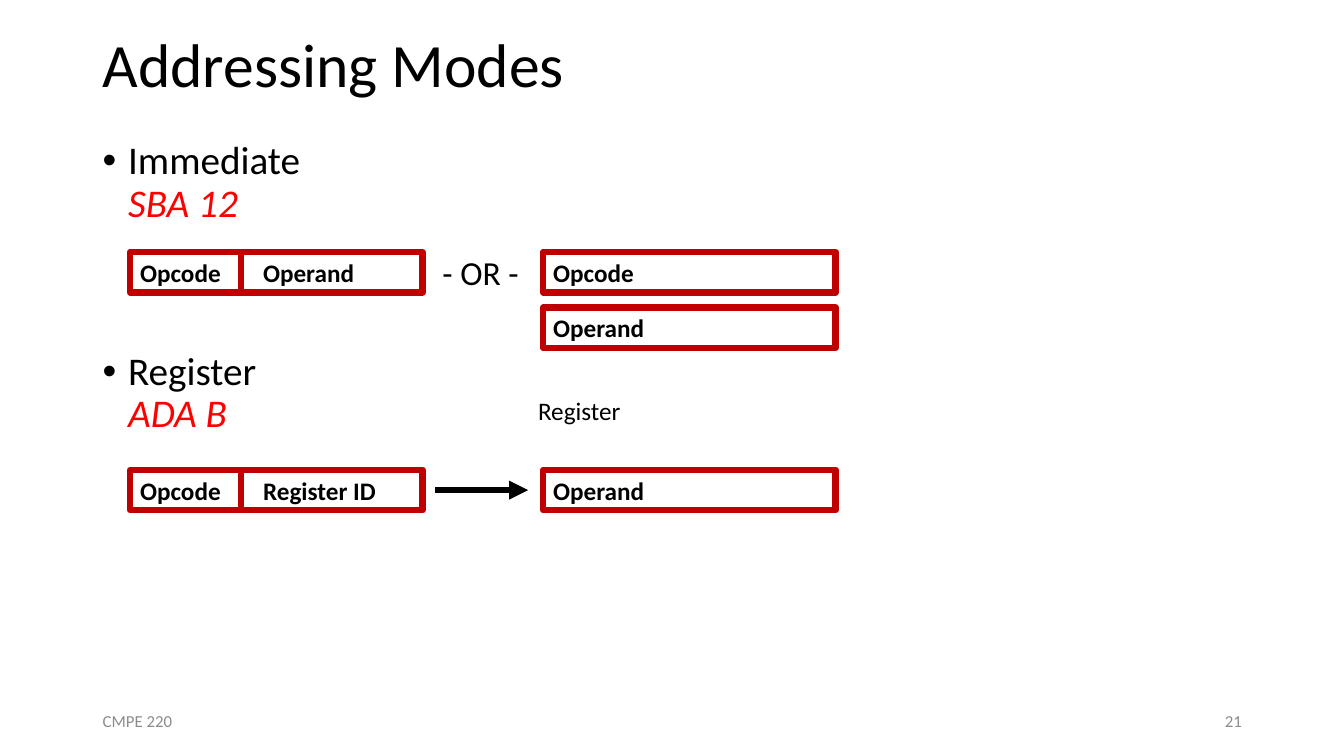
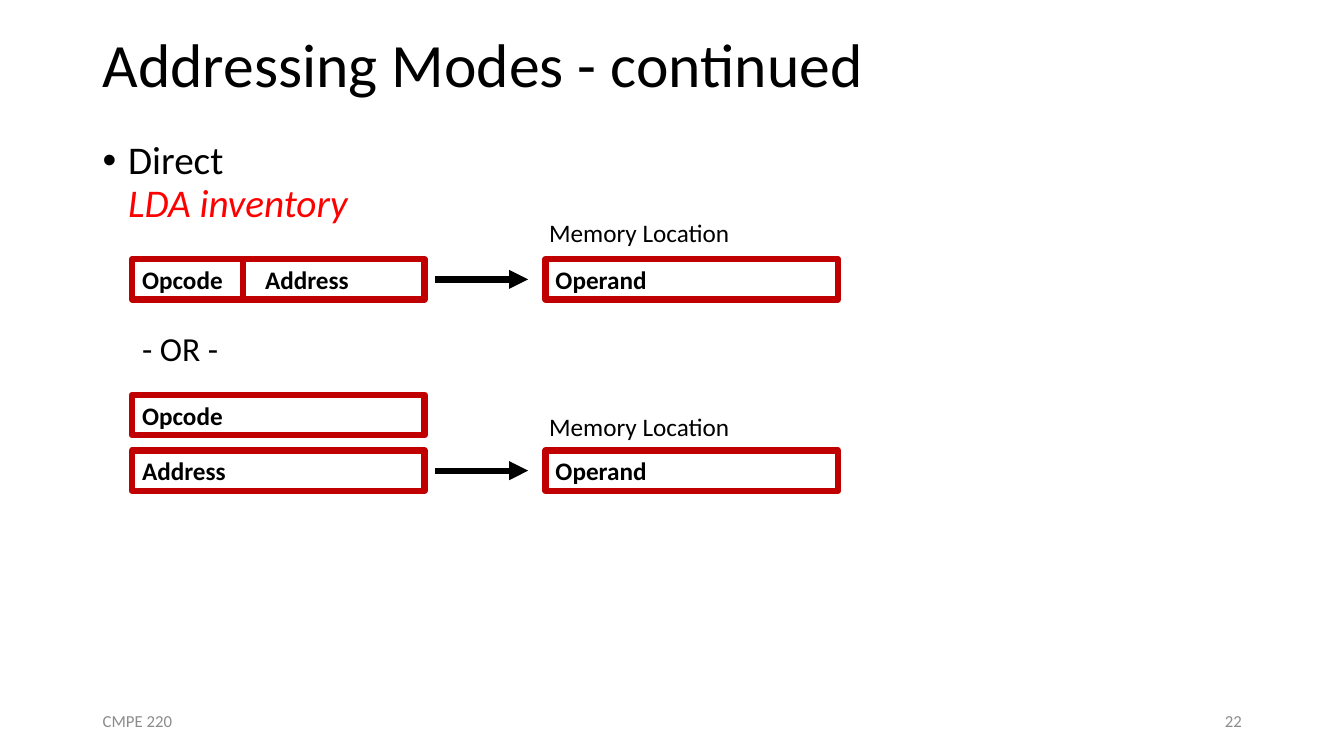
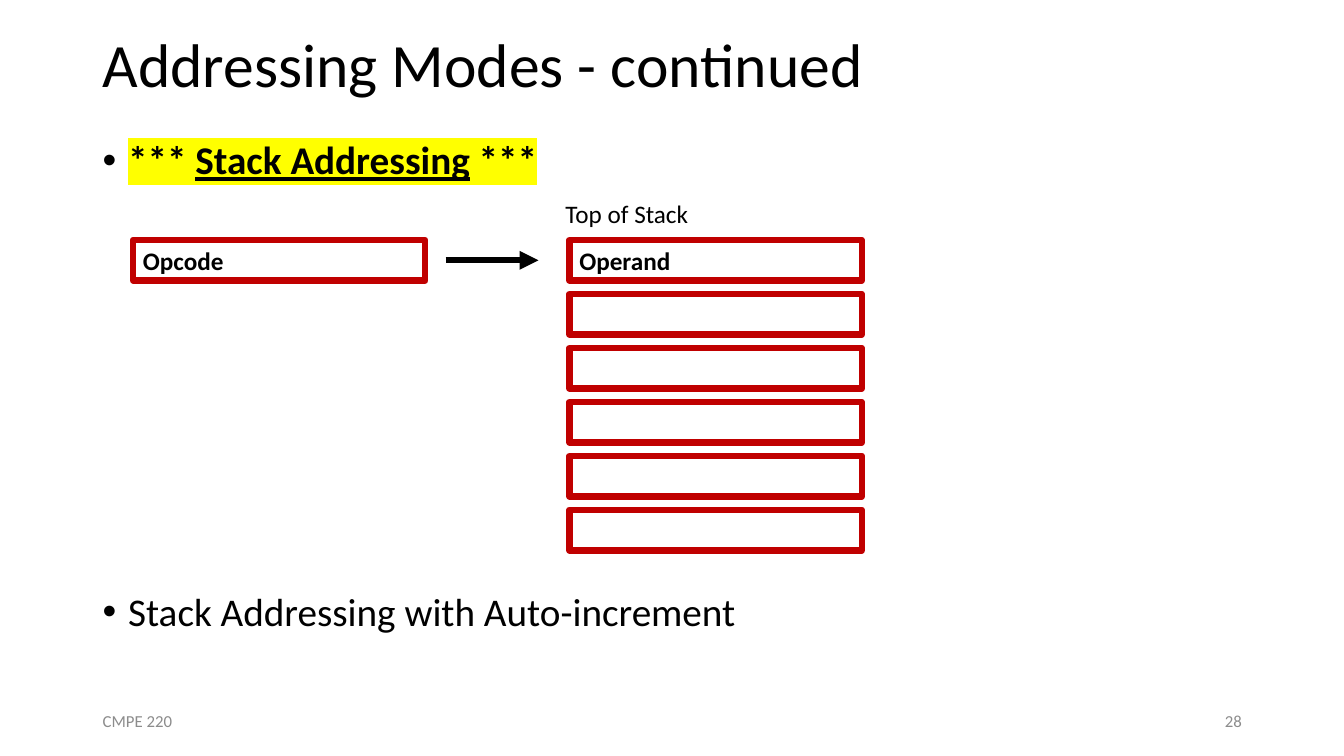
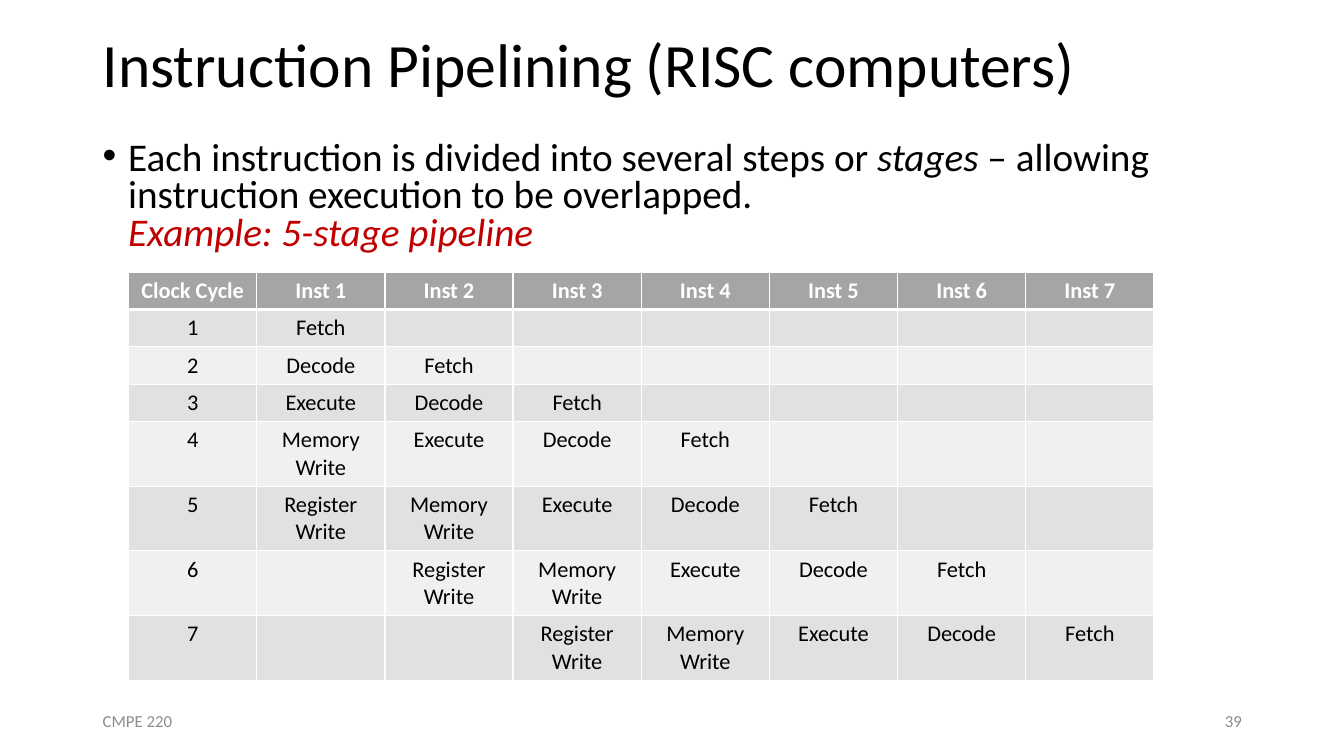
import lxml.etree
import pptx
import pptx.dml.color
import pptx.enum.shapes
import pptx.enum.text
import pptx.oxml.ns
import pptx.util

Cm = pptx.util.Cm
Pt = pptx.util.Pt
RGBColor = pptx.dml.color.RGBColor
ALIGN = pptx.enum.text.PP_ALIGN
ANCHOR = pptx.enum.text.MSO_ANCHOR
qn = pptx.oxml.ns.qn

BLACK = RGBColor(0x00, 0x00, 0x00)
WHITE = RGBColor(0xFF, 0xFF, 0xFF)
RED = RGBColor(0xFF, 0x00, 0x00)
DARK_RED = RGBColor(0xC0, 0x00, 0x00)
YELLOW = RGBColor(0xFF, 0xFF, 0x00)
GREY = RGBColor(0x8C, 0x8C, 0x8C)
HEADER_GREY = RGBColor(0xA5, 0xA5, 0xA5)
BAND_DARK = RGBColor(0xE1, 0xE1, 0xE1)
BAND_LIGHT = RGBColor(0xF0, 0xF0, 0xF0)

FONT = "Calibri"
MARGIN = 2.34
CONTENT_W = 29.21
TITLE_H = 3.43
BOX_W, BOX_H = 7.37, 1.02
DIVIDER_DX = 2.79
TAB = 3.1
ARROW_LEN = 2.34
BREAK = "\v"


def add_xml(parent, tag, **attrs):
    return lxml.etree.SubElement(parent, qn(tag), attrs)


class Deck:
    """Holds the presentation style and the slide being built."""

    def __init__(self):
        self.prs = pptx.Presentation()
        self.prs.slide_width = Cm(33.87)
        self.prs.slide_height = Cm(19.05)

    def slide(self, title, number):
        self.s = self.prs.slides.add_slide(self.prs.slide_layouts[6])
        tf = self.text(title, MARGIN, 0, CONTENT_W, TITLE_H, size=44, anchor=ANCHOR.MIDDLE)
        tf.paragraphs[0].line_spacing = 0.9
        footers = (("CMPE 220", MARGIN, ALIGN.LEFT), (str(number), 23.93, ALIGN.RIGHT))
        for text, x, align in footers:
            self.text(text, x, 17.65, 7.62, 1.02, 12, GREY, align, ANCHOR.MIDDLE)

    def style(self, r, size, color=BLACK, bold=False, italic=False, underline=False, highlight=None):
        f = r.font
        f.size, f.name = Pt(size), FONT
        f.bold, f.italic, f.underline = bold, italic, underline
        f.color.rgb = color
        if highlight is not None:
            rPr = r._r.get_or_add_rPr()
            mark = add_xml(rPr, "a:highlight")
            add_xml(mark, "a:srgbClr", val=str(highlight))
            rPr.find(qn("a:solidFill")).addnext(mark)

    def text(self, text, x, y, w, h, size=18, color=BLACK, align=ALIGN.LEFT, anchor=ANCHOR.TOP):
        tf = self.s.shapes.add_textbox(Cm(x), Cm(y), Cm(w), Cm(h)).text_frame
        tf.word_wrap = True
        tf.vertical_anchor = anchor
        p = tf.paragraphs[0]
        p.text = text
        p.alignment = align
        for r in p.runs:
            self.style(r, size, color)
        return tf

    def label(self, text, x, y):
        self.text(text, x, y, 5.1, BOX_H)

    def either(self, x, y):
        self.text("- OR -", x, y, 2.64, 1.27, size=24)

    def bullets(self, items, h, spacing=0.9):
        tf = self.text("", MARGIN, TITLE_H, CONTENT_W, h)
        for i, (before, parts) in enumerate(items):
            p = tf.add_paragraph() if i else tf.paragraphs[0]
            p.line_spacing = spacing
            p.space_before = Pt(before)
            pPr = p._p.get_or_add_pPr()
            pPr.set("marL", str(Cm(0.64)))
            pPr.set("indent", str(Cm(-0.64)))
            add_xml(pPr, "a:buFont", typeface="Arial")
            add_xml(pPr, "a:buChar", char="•")
            for text, look in parts:
                if text == BREAK:
                    p.add_line_break()
                    continue
                r = p.add_run()
                r.text = text
                self.style(r, 28, **look)

    def box(self, x, y, text=""):
        sp = self.s.shapes.add_shape(
            pptx.enum.shapes.MSO_SHAPE.RECTANGLE, Cm(x), Cm(y), Cm(BOX_W), Cm(BOX_H))
        sp.shadow.inherit = False
        sp.fill.background()
        sp.line.color.rgb = DARK_RED
        sp.line.width = Pt(4.5)
        tf = sp.text_frame
        tf.word_wrap = True
        tf.vertical_anchor = ANCHOR.MIDDLE
        p = tf.paragraphs[0]
        p.text = text
        p.alignment = ALIGN.LEFT
        for r in p.runs:
            self.style(r, 18, bold=True)
        return p

    def split_box(self, x, y, left, right):
        p = self.box(x, y, left + "\t" + right)
        tabs = add_xml(p._p.get_or_add_pPr(), "a:tabLst")
        add_xml(tabs, "a:tab", pos=str(Cm(TAB)), algn="l")
        self.line(x + DIVIDER_DX, y, x + DIVIDER_DX, y + BOX_H, DARK_RED)

    def line(self, x1, y1, x2, y2, color):
        c = self.s.shapes.add_connector(
            pptx.enum.shapes.MSO_CONNECTOR.STRAIGHT, Cm(x1), Cm(y1), Cm(x2), Cm(y2))
        c.line.color.rgb = color
        c.line.width = Pt(4.5)
        spPr = c._element.spPr
        add_xml(spPr, "a:effectLst")
        return spPr.find(qn("a:ln"))

    def arrow(self, x, box_y):
        y = box_y + BOX_H / 2
        ln = self.line(x, y, x + ARROW_LEN, y, BLACK)
        add_xml(ln, "a:tailEnd", type="triangle")

    def cell(self, cell, text, fill, color, bold, bottom):
        p = cell.text_frame.paragraphs[0]
        p.text = text
        p.alignment = ALIGN.CENTER
        for r in p.runs:
            self.style(r, 16, color, bold)
        if not text:
            add_xml(p._p, "a:endParaRPr", sz="1600")
        tcPr = cell._tc.get_or_add_tcPr()
        for side, width in (("L", 1), ("R", 1), ("T", 1), ("B", bottom)):
            ln = add_xml(tcPr, "a:ln" + side, w=str(Pt(width)))
            add_xml(add_xml(ln, "a:solidFill"), "a:srgbClr", val=str(WHITE))
        cell.fill.solid()
        cell.fill.fore_color.rgb = fill

    def table(self, rows, x, y, col_w, row_hs):
        tbl = self.s.shapes.add_table(
            len(rows), len(rows[0]), Cm(x), Cm(y),
            Cm(col_w * len(rows[0])), Cm(sum(row_hs))).table
        for col in tbl.columns:
            col.width = Cm(col_w)
        for i, (row, h) in enumerate(zip(rows, row_hs)):
            tbl.rows[i].height = Cm(h)
            band = BAND_DARK if i % 2 else BAND_LIGHT
            look = (band, BLACK, False, 1) if i else (HEADER_GREY, WHITE, True, 3)
            for j, text in enumerate(row):
                self.cell(tbl.cell(i, j), text, *look)


def mode(name, example):
    return [(name, {}), (BREAK, {}), (example, {"color": RED, "italic": True})]


def immediate_and_register(d):
    d.slide("Addressing Modes", 21)
    d.bullets([(10, mode("Immediate", "SBA 12")), (90, mode("Register", "ADA B"))], 12.65)
    left, right, top, bottom = 3.28, 13.69, 6.35, 11.84
    d.split_box(left, top, "Opcode", "Operand")
    d.either(10.9, 6.22)
    d.box(right, top, "Opcode")
    d.box(right, top + 1.4, "Operand")
    d.split_box(left, bottom, "Opcode", "Register ID")
    d.arrow(10.97, bottom)
    d.label("Register", 13.31, 9.83)
    d.box(right, bottom, "Operand")


def direct(d):
    d.slide("Addressing Modes - continued", 22)
    d.bullets([(10, mode("Direct", "LDA inventory"))], 14)
    left, right, top, bottom = 3.33, 13.75, 6.53, 11.35
    d.split_box(left, top, "Opcode", "Address")
    d.either(left, 8.13)
    d.box(left, bottom - 1.4, "Opcode")
    d.box(left, bottom, "Address")
    for y, label_y in ((top, 5.36), (bottom, 10.24)):
        d.arrow(10.97, y)
        d.label("Memory Location", 13.59, label_y)
        d.box(right, y, "Operand")


def stack(d):
    d.slide("Addressing Modes - continued", 28)
    marked = {"bold": True, "highlight": YELLOW}
    heading = [("*** ", marked), ("Stack Addressing", {**marked, "underline": True}), (" ***", marked)]
    d.bullets([(10, heading), (292, [("Stack Addressing with Auto-increment", {})])], 13.34)
    top = 6.05
    d.box(3.35, top, "Opcode")
    d.arrow(11.23, top)
    d.label("Top of Stack", 14, 4.88)
    for i in range(6):
        d.box(14.35, top + i * 1.36, "" if i else "Operand")


def pipelining(d):
    d.slide("Instruction Pipelining (RISC computers)", 39)
    d.bullets([(10, [
        ("Each instruction is divided into several steps or ", {}),
        ("stages", {"italic": True}),
        (" – allowing instruction execution to be overlapped.", {}),
        (BREAK, {}),
        ("Example: 5-stage pipeline", {"color": DARK_RED, "italic": True}),
    ])], 3.43, spacing=0.8)
    stages = ["Fetch", "Decode", "Execute", "Memory Write", "Register Write"]
    steps = range(1, 8)
    rows = [["Clock Cycle"] + [f"Inst {n}" for n in steps]]
    for cycle in steps:
        rows.append([str(cycle)] + [
            stages[cycle - n] if 0 <= cycle - n < len(stages) else "" for n in steps])
    d.table(rows, 3.24, 6.86, 3.23, [0.94] * 4 + [1.63] * 4)


def main():
    d = Deck()
    for build in (immediate_and_register, direct, stack, pipelining):
        build(d)
    d.prs.save("out.pptx")


if __name__ == "__main__":
    main()
